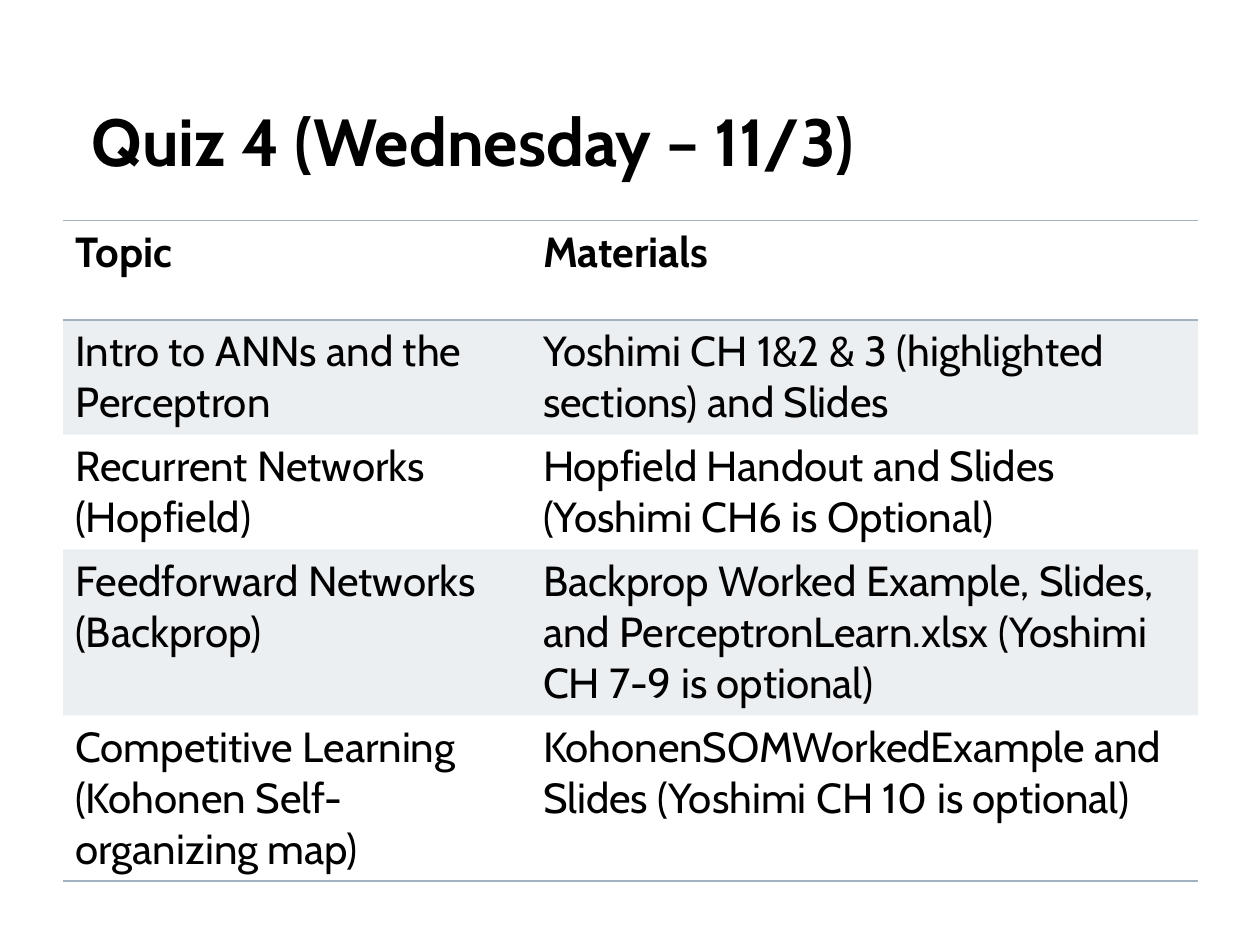
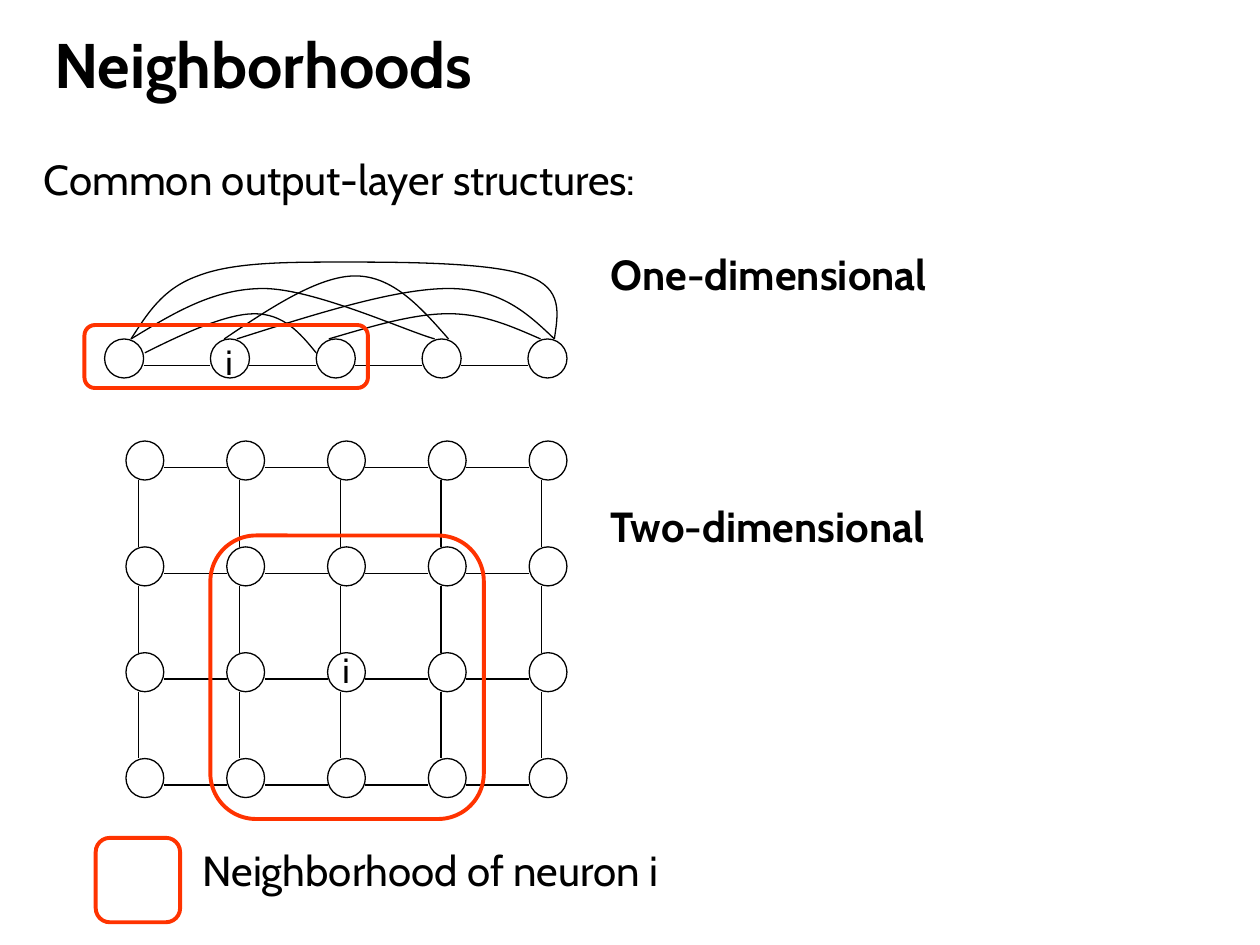
"""Build two lecture slides: the quiz topics table and the neighborhood diagrams."""
import lxml.etree
import pptx
import pptx.dml.color
import pptx.enum.shapes
import pptx.enum.text
import pptx.oxml.ns
import pptx.util

Inches = pptx.util.Inches
Pt = pptx.util.Pt
Shape = pptx.enum.shapes.MSO_SHAPE
qn = pptx.oxml.ns.qn

FONT = "Cabin"
BLACK, RED, STEEL = "000000", "FF3300", "A3B2C1"

TOPICS = [
    ("Topic", "Materials"),
    ("Intro to ANNs and the Perceptron",
     "Yoshimi CH 1&2 & 3 (highlighted sections) and Slides"),
    ("Recurrent Networks (Hopfield)",
     "Hopfield Handout and Slides (Yoshimi CH6 is Optional)"),
    ("Feedforward Networks (Backprop)",
     "Backprop Worked Example, Slides, and PerceptronLearn.xlsx (Yoshimi CH 7-9 is optional)"),
    ("Competitive Learning (Kohonen Self-organizing map)",
     "KohonenSOMWorkedExample and Slides (Yoshimi CH 10 is optional)"),
]

ARCS = [
    [(1.04, 2.69), (1.37, 2.49), (1.69, 2.29), (2.09, 2.29),
     (2.49, 2.29), (3.23, 2.63), (3.45, 2.69)],
    [(2.61, 2.69), (2.95, 2.59), (3.28, 2.49), (3.56, 2.49),
     (3.84, 2.49), (4.06, 2.59), (4.29, 2.69)],
    [(4.4, 2.69), (4.19, 2.49), (3.98, 2.29), (3.56, 2.29),
     (3.14, 2.29), (2.51, 2.49), (1.88, 2.69)],
    [(2.51, 2.8), (2.38, 2.64), (2.25, 2.49), (2.02, 2.49),
     (1.8, 2.49), (1.47, 2.64), (1.15, 2.8)],
    [(1.04, 2.69), (1.17, 2.49), (1.29, 2.29), (1.57, 2.19),
     (1.85, 2.08), (2.28, 2.08), (2.72, 2.08),
     (3.16, 2.08), (3.91, 2.08), (4.19, 2.19),
     (4.47, 2.29), (4.43, 2.49), (4.4, 2.69)],
    [(3.56, 2.69), (3.34, 2.44), (3.12, 2.19), (2.82, 2.19),
     (2.53, 2.19), (2.15, 2.44), (1.78, 2.69)],
]


def color(code):
    return pptx.dml.color.RGBColor.from_string(code)


class Deck:
    def __init__(self):
        self.prs = pptx.Presentation()
        self.prs.slide_width = Inches(10)
        self.prs.slide_height = Inches(7.5)

    def slide(self, title, box, size):
        self.page = self.prs.slides.add_slide(self.prs.slide_layouts[5])
        self.shapes = self.page.shapes
        head = self.shapes.title
        head.left, head.top, head.width, head.height = map(Inches, box)
        frame = head.text_frame
        frame.text = title
        frame.auto_size = pptx.enum.text.MSO_AUTO_SIZE.NONE
        frame.vertical_anchor = pptx.enum.text.MSO_ANCHOR.BOTTOM
        self.style(frame, size, True)

    def group(self):
        self.shapes = self.page.shapes.add_group_shape().shapes

    def ungroup(self):
        self.shapes = self.page.shapes

    def style(self, frame, size, bold=False):
        for para in frame.paragraphs:
            para.alignment = pptx.enum.text.PP_ALIGN.LEFT
            for run in para.runs:
                run.font.name = FONT
                run.font.size = Pt(size)
                run.font.bold = bold
                run.font.color.rgb = color(BLACK)

    def text(self, words, box, size=24, bold=False):
        frame = self.shapes.add_textbox(*map(Inches, box)).text_frame
        frame.word_wrap = True
        frame.text = words
        para = frame.paragraphs[0]
        para.space_before = Pt(size * 0.1)
        para.space_after = Pt(size * 0.3)
        self.style(frame, size, bold)

    def outline(self, shape, code=BLACK, width=0.75):
        shape.fill.background()
        shape.line.color.rgb = color(code)
        shape.line.width = Pt(width)
        shape.shadow.inherit = False

    def node(self, left, top, width):
        box = map(Inches, (left, top, width, 0.31))
        self.outline(self.shapes.add_shape(Shape.OVAL, *box))

    def zone(self, *box):
        shape = self.shapes.add_shape(Shape.ROUNDED_RECTANGLE, *map(Inches, box))
        shape.adjustments[0] = 0.167
        self.outline(shape, RED, 2.25)

    def line(self, *ends):
        kind = pptx.enum.shapes.MSO_CONNECTOR.STRAIGHT
        link = self.shapes.add_connector(kind, *map(Inches, ends))
        link.line.color.rgb = color(BLACK)
        link.line.width = Pt(0.75)
        lxml.etree.SubElement(link._element.spPr, qn("a:effectLst"))

    def curve(self, points):
        start, *rest = [(Inches(x), Inches(y)) for x, y in points]
        form = self.shapes.build_freeform(*start)
        form.add_line_segments(rest, close=False)
        shape = form.convert_to_shape()
        self.outline(shape)
        steps = list(shape._element.iter(qn("a:lnTo")))
        for first in range(0, len(steps), 3):
            trio = steps[first:first + 3]
            bend = lxml.etree.Element(qn("a:cubicBezTo"))
            trio[0].addprevious(bend)
            for step in trio:
                bend.append(step[0])
                step.getparent().remove(step)

    def chain(self, left, top, width, step, count=5):
        for spot in range(count):
            x = left + spot * step
            self.node(x, top, width)
            if spot < count - 1:
                self.line(x + width, top + 0.21, x + step, top + 0.21)

    def border(self, cell, sides):
        props = cell._tc.get_or_add_tcPr()
        for side in "LRTB":
            edge = lxml.etree.SubElement(props, qn("a:ln" + side), w=str(Pt(1)))
            if side in sides:
                fill = lxml.etree.SubElement(edge, qn("a:solidFill"))
                lxml.etree.SubElement(fill, qn("a:srgbClr"), val=STEEL)
            else:
                lxml.etree.SubElement(edge, qn("a:noFill"))

    def tint(self, cell, percent):
        cell.fill.solid()
        cell.fill.fore_color.rgb = color(STEEL)
        tone = cell._tc.tcPr.find(qn("a:solidFill"))[0]
        lxml.etree.SubElement(tone, qn("a:alpha"), val=str(percent * 1000))

    def table(self, rows, left, top, widths, height):
        size = map(Inches, (left, top, sum(widths), height * len(rows)))
        grid = self.shapes.add_table(len(rows), len(widths), *size).table
        grid.first_row = grid.horz_banding = False
        for col, width in zip(grid.columns, widths):
            col.width = Inches(width)
        sides = {0: "TB", 1: "T", len(rows) - 1: "B"}
        for r, row in enumerate(rows):
            grid.rows[r].height = Inches(height)
            for c, words in enumerate(row):
                cell = grid.cell(r, c)
                cell.text_frame.text = words
                self.style(cell.text_frame, 24, r == 0)
                self.border(cell, sides.get(r, ""))
                if r % 2:
                    self.tint(cell, 20)
                else:
                    cell.fill.background()


def quiz(deck):
    deck.slide("Quiz 4 (Wednesday – 11/3)", (0.63, 0.15, 8.75, 1.33), 38)
    deck.table(TOPICS, 0.5, 1.75, (3.71, 5.3), 0.79)


def hoods(deck):
    deck.slide("Neighborhoods", (0.33, 0.02, 8.53, 0.83), 36)
    deck.text("Common output-layer structures:", (0.25, 1.17, 6.42, 0.67))

    deck.group()
    deck.chain(0.83, 2.69, 0.31, 0.84)
    for arc in ARCS:
        deck.curve(arc)
    deck.ungroup()
    deck.text("One-dimensional", (4.75, 1.92, 5.25, 0.67), bold=True)

    deck.group()
    left, top, across, down = 1, 3.5, 0.8, 0.84
    for row in range(4):
        y = top + row * down
        deck.chain(left, y, 0.3, across)
        if row < 3:
            for col in range(5):
                x = left + 0.1 + col * across
                deck.line(x, y + 0.31, x, y + down)
    deck.ungroup()
    deck.text("Two-dimensional", (4.75, 3.92, 4.58, 2.42), bold=True)

    marks = [
        ((0.67, 2.58, 2.25, 0.5), "i", (1.69, 2.65, 0.33, 0.67), 20),
        ((1.67, 4.25, 2.17, 2.25), "i", (2.62, 5.1, 0.33, 0.67), 20),
        ((0.76, 6.65, 0.67, 0.67), "Neighborhood of neuron i",
         (1.51, 6.65, 4, 0.67), 24),
    ]
    for zone, words, box, size in marks:
        deck.group()
        deck.zone(*zone)
        deck.text(words, box, size)


def main():
    deck = Deck()
    quiz(deck)
    hoods(deck)
    deck.prs.save("out.pptx")


if __name__ == "__main__":
    main()
